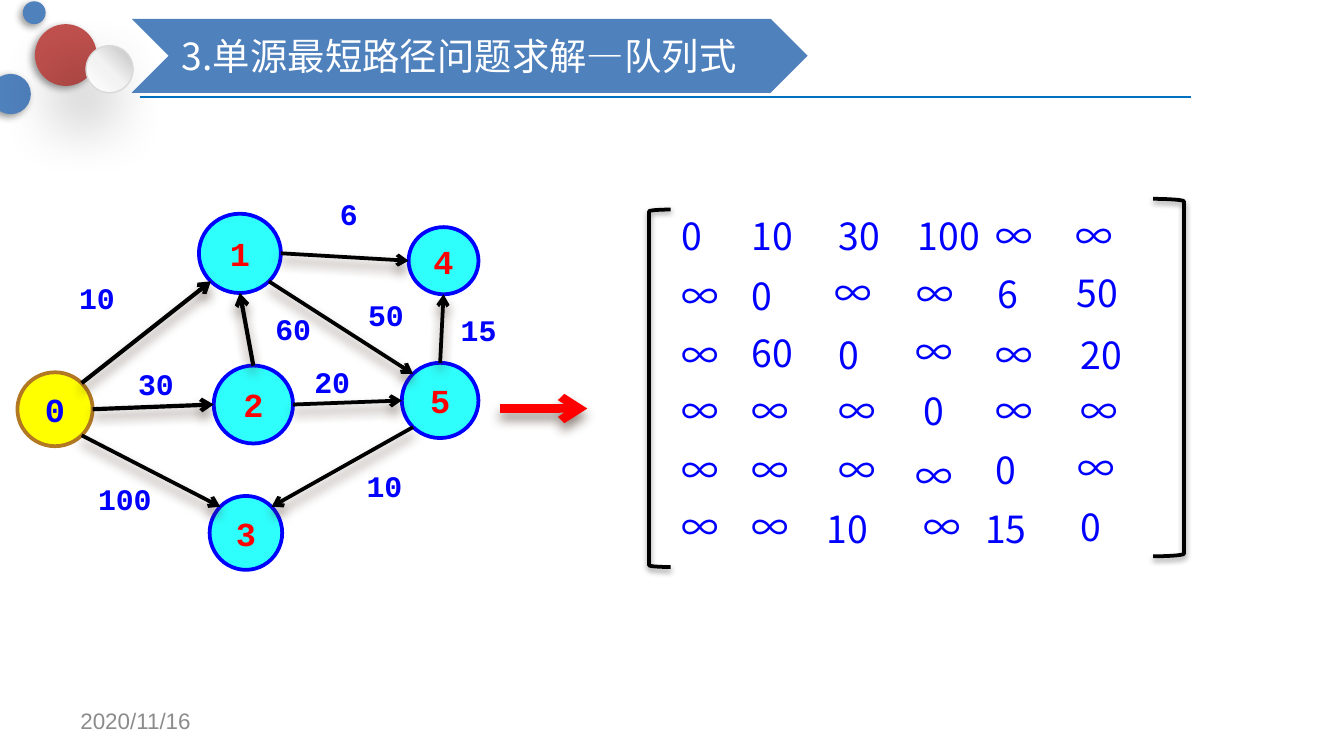
from copy import deepcopy
from dataclasses import dataclass
from math import cos, radians, sin
from typing import Optional

from lxml.etree import SubElement
from pptx import Presentation
from pptx.dml.color import RGBColor
from pptx.enum.shapes import MSO_CONNECTOR as Connector, MSO_SHAPE as Preset
from pptx.enum.text import MSO_ANCHOR as Anchor, PP_ALIGN as Align
from pptx.oxml.ns import qn
from pptx.util import Inches, Pt

COLORS = {
    "white": "FFFFFF", "black": "000000", "blue": "0000FF", "red": "FF0000",
    "cyan": "2EFFFC", "yellow": "FFFF00", "brown": "B27822", "steel": "4F81BD",
    "brick": "C0504D", "rule": "0070C0", "gray": "8C8C8C", "rim": "D9D9D9",
    "pearl": "F2F2F2", "silver": "BFBFBF", "umber": "4E3B30",
}
FORMATS = {
    "title": {"name": "Noto Sans CJK SC", "size": Pt(20)},
    "date": {"name": "Arial", "size": Pt(12)},
    "node": {"name": "Courier New", "size": Pt(18), "bold": True},
    "weight": {"name": "Courier New", "size": Pt(16), "bold": True},
    "matrix": {"name": "Noto Sans CJK SC", "size": Pt(20)},
}


@dataclass
class Shadow:
    color: str
    alpha: int
    blur: float
    distance: float
    angle: int


@dataclass
class Node:
    label: str
    left: float
    top: float
    width: float
    height: float
    fill: str = "cyan"
    line: str = "blue"
    font: str = "red"

    def rim(self, angle: int) -> tuple[float, float]:
        turn = radians(angle)
        return (self.left + self.width / 2 * (1 + cos(turn)),
                self.top + self.height / 2 * (1 + sin(turn)))


@dataclass
class Edge:
    source: int
    leave: int
    target: int
    enter: int
    width: float = 2


@dataclass
class Weight:
    text: str
    left: float
    top: float
    width: float = 0.8
    inset: float = 0.1


BALL_SHADOW = Shadow("black", 40, 4, 2, 135)
PEARL_SHADOW = Shadow("black", 40, 35, 20, 135)
EDGE_SHADOW = Shadow("umber", 60, 6, 4, 90)
BRACKET_SHADOW = Shadow("black", 38, 3.1, 1.6, 90)

NODES = [
    Node("0", 0.13, 2.77, 0.56, 0.55, "yellow", "brown", "blue"),
    Node("1", 1.48, 1.59, 0.61, 0.59),
    Node("2", 1.59, 2.72, 0.59, 0.58),
    Node("3", 1.56, 3.69, 0.54, 0.55),
    Node("4", 3.04, 1.69, 0.52, 0.5),
    Node("5", 2.99, 2.7, 0.57, 0.56),
]
EDGES = [
    Edge(0, 315, 1, 135, 2.25), Edge(0, 45, 3, 225), Edge(0, 0, 2, 180, 2.25),
    Edge(1, 45, 5, 225), Edge(2, 0, 5, 180), Edge(5, 135, 3, 315),
    Edge(1, 0, 4, 180), Edge(2, 270, 1, 90, 2.25), Edge(5, 270, 4, 90),
]
WEIGHTS = [
    Weight("10", 0.49, 2.03), Weight("30", 0.93, 2.67),
    Weight("100", 0.73, 3.53, inset=0), Weight("60", 1.95, 2.26, 0.57),
    Weight("50", 2.64, 2.16), Weight("6", 2.43, 1.41, 0.6),
    Weight("10", 2.63, 3.43), Weight("20", 2.24, 2.66), Weight("15", 3.33, 2.27),
]
MATRIX = [
    "0 10 30 100 ∞ ∞", "∞ 0 ∞ ∞ 6 50", "∞ 60 0 ∞ ∞ 20",
    "∞ ∞ ∞ 0 ∞ ∞", "∞ ∞ ∞ ∞ 0 ∞", "∞ ∞ 10 ∞ 15 0",
]
COLUMN_LEFTS = [5.07, 5.59, 6.24, 6.82, 7.41, 8.04]
ROW_TOPS = [1.54, 1.98, 2.42, 2.84, 3.28, 3.7]
NUDGES = {
    (0, 3): (0.01, 0), (0, 5): (-0.04, 0), (1, 2): (-0.03, -0.02),
    (1, 3): (0, -0.01), (1, 4): (0.01, -0.01), (1, 5): (-0.03, -0.02),
    (2, 1): (0, -0.01), (2, 3): (-0.01, -0.02), (3, 3): (0.05, 0),
    (4, 3): (-0.01, 0.04), (4, 5): (-0.02, -0.02), (5, 2): (-0.09, 0.02),
    (5, 3): (0.05, 0), (5, 4): (-0.08, 0.02),
}


def rgb(color: str) -> RGBColor:
    return RGBColor.from_string(COLORS[color])


def add_effects(shape, shadow: Optional[Shadow] = None) -> None:
    effects = SubElement(shape._element.spPr, qn("a:effectLst"))
    if shadow:
        outer = SubElement(effects, qn("a:outerShdw"), blurRad=str(Pt(shadow.blur)),
                           dist=str(Pt(shadow.distance)), dir=str(shadow.angle * 60000),
                           algn="ctr", rotWithShape="0")
        color = SubElement(outer, qn("a:srgbClr"), val=COLORS[shadow.color])
        SubElement(color, qn("a:alpha"), val=str(shadow.alpha * 1000))


def write(shape, text: str, style: str, color: str, align=Align.LEFT,
          anchor=Anchor.TOP, inset: float = 0.1) -> None:
    frame = shape.text_frame
    settings = {"word_wrap": True, "vertical_anchor": anchor,
                "margin_left": Inches(inset), "margin_right": Inches(inset)}
    for name, value in settings.items():
        setattr(frame, name, value)
    paragraph = frame.paragraphs[0]
    paragraph.alignment = align
    run = paragraph.add_run()
    run.text = text
    for name, value in FORMATS[style].items():
        setattr(run.font, name, value)
    run.font.color.rgb = rgb(color)
    SubElement(run.font._element, qn("a:ea"), typeface=FORMATS[style]["name"])


def add_text(slide, left: float, top: float, width: float, height: float,
             text: str, style: str, color: str, **layout) -> None:
    box = slide.shapes.add_textbox(Inches(left), Inches(top), Inches(width), Inches(height))
    write(box, text, style, color, **layout)


def add_shape(slide, preset, left: float, top: float, width: float, height: float,
              fill: Optional[str] = None, line: Optional[str] = None,
              weight: float = 2, shadow: Optional[Shadow] = None):
    shape = slide.shapes.add_shape(preset, Inches(left), Inches(top),
                                   Inches(width), Inches(height))
    if fill:
        shape.fill.solid()
        shape.fill.fore_color.rgb = rgb(fill)
    else:
        shape.fill.background()
    if line:
        shape.line.color.rgb = rgb(line)
        shape.line.width = Pt(weight)
    else:
        shape.line.fill.background()
    add_effects(shape, shadow)
    return shape


def add_line(slide, start: tuple[float, float], end: tuple[float, float], color: str,
             weight: float, arrow: bool = True) -> None:
    line = slide.shapes.add_connector(Connector.STRAIGHT, *map(Inches, start + end))
    line.line.color.rgb = rgb(color)
    line.line.width = Pt(weight)
    if arrow:
        SubElement(line.line._get_or_add_ln(), qn("a:tailEnd"), type="arrow")
    add_effects(line, EDGE_SHADOW if arrow else None)


def add_header(slide) -> None:
    add_line(slide, (1.04, 0.72), (8.86, 0.72), "rule", 1.25, arrow=False)
    add_shape(slide, Preset.OVAL, 0.26, 0.18, 0.46, 0.46, "brick", shadow=BALL_SHADOW)
    add_shape(slide, Preset.OVAL, -0.07, 0.55, 0.3, 0.3, "steel", shadow=BALL_SHADOW)
    pearl = add_shape(slide, Preset.OVAL, 0.64, 0.34, 0.35, 0.35, "white", "rim", 0.75,
                      PEARL_SHADOW)
    pearl.fill.gradient()
    pearl.fill.gradient_angle = 45
    stops = pearl._element.spPr.find(".//" + qn("a:gsLst"))
    stops.insert(1, deepcopy(stops[0]))
    tones = ((0, "white"), (0.5, "pearl"), (1, "silver"))
    for stop, (position, color) in zip(pearl.fill.gradient_stops, tones):
        stop.position = position
        stop.color.rgb = rgb(color)
    add_shape(slide, Preset.OVAL, 0.17, 0.01, 0.17, 0.17, "steel", shadow=BALL_SHADOW)
    banner = add_shape(slide, Preset.CHEVRON, 0.98, 0.14, 5.03, 0.55, "steel")
    write(banner, "3.单源最短路径问题求解—队列式", "title", "white", anchor=Anchor.MIDDLE)


def add_graph(slide) -> None:
    for node in NODES:
        circle = add_shape(slide, Preset.OVAL, node.left, node.top, node.width,
                           node.height, node.fill, node.line)
        write(circle, node.label, "node", node.font, Align.CENTER, Anchor.MIDDLE)
    for edge in EDGES:
        add_line(slide, NODES[edge.source].rim(edge.leave),
                 NODES[edge.target].rim(edge.enter), "black", edge.width)
    for weight in WEIGHTS:
        add_text(slide, weight.left, weight.top, weight.width, 0.37, weight.text,
                 "weight", "blue", inset=weight.inset)


def add_matrix(slide) -> None:
    for row, (top, values) in enumerate(zip(ROW_TOPS, MATRIX)):
        for column, (left, value) in enumerate(zip(COLUMN_LEFTS, values.split())):
            right, down = NUDGES.get((row, column), (0, 0))
            add_text(slide, left + right, top + down, 0.55, 0.44, value,
                     "matrix", "blue", inset=0)
    add_shape(slide, Preset.LEFT_BRACKET, 4.83, 1.56, 0.16, 2.66, line="black",
              shadow=BRACKET_SHADOW)
    add_shape(slide, Preset.RIGHT_BRACKET, 8.58, 1.48, 0.23, 2.66, line="black",
              shadow=BRACKET_SHADOW)


def main() -> None:
    presentation = Presentation()
    presentation.slide_width = Inches(10)
    presentation.slide_height = presentation.slide_width * 9 // 16
    slide = presentation.slides.add_slide(presentation.slide_layouts[6])
    add_header(slide)
    add_text(slide, 0.5, 5.21, 2.33, 0.3, "2020/11/16", "date", "gray", anchor=Anchor.MIDDLE)
    add_graph(slide)
    add_line(slide, (3.72, 3.04), (4.37, 3.04), "red", 4.5)
    add_matrix(slide)
    presentation.save("out.pptx")


if __name__ == "__main__":
    main()
